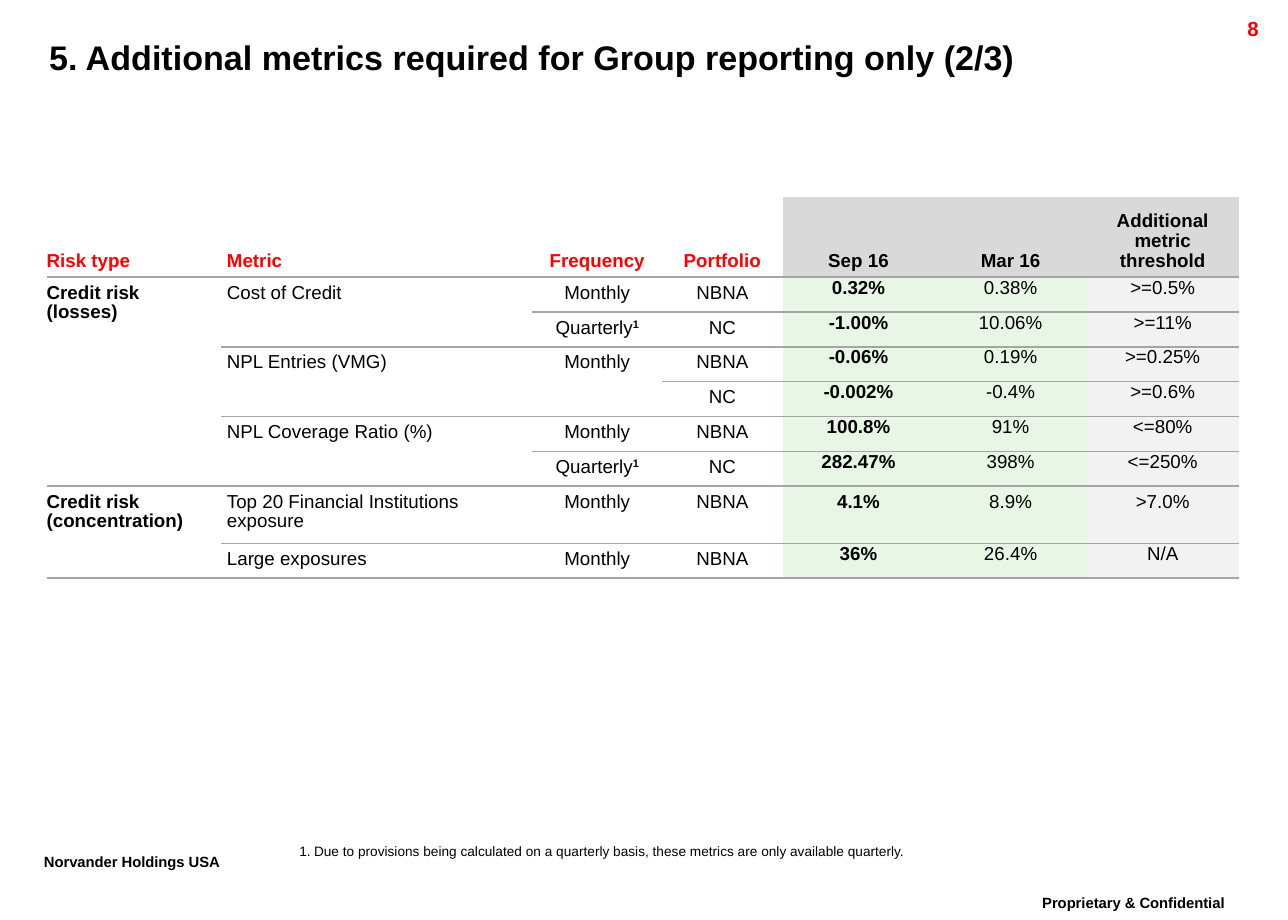
from lxml import etree
from pptx import Presentation
from pptx.dml.color import RGBColor
from pptx.enum import text as tx
from pptx.oxml.ns import qn
from pptx.util import Inches, Pt

# Content
TITLE = "5. Additional metrics required for Group reporting only (2/3)"
FOOTNOTE = ("Due to provisions being calculated on a quarterly basis, "
            "these metrics are only available quarterly.")
HEADERS = ["Risk type", "Metric", "Frequency", "Portfolio",
           "Sep 16", "Mar 16", "Additional metric threshold"]
QUARTERLY = "Quarterly^1"  # the part after ^ is raised
# None continues the cell above
METRICS = [
    ["Credit risk (losses)", "Cost of Credit", "Monthly", "NBNA", "0.32%", "0.38%", ">=0.5%"],
    [None, None, QUARTERLY, "NC", "-1.00%", "10.06%", ">=11%"],
    [None, "NPL Entries (VMG)", "Monthly", "NBNA", "-0.06%", "0.19%", ">=0.25%"],
    [None, None, None, "NC", "-0.002%", "-0.4%", ">=0.6%"],
    [None, "NPL Coverage Ratio (%)", "Monthly", "NBNA", "100.8%", "91%", "<=80%"],
    [None, None, QUARTERLY, "NC", "282.47%", "398%", "<=250%"],
    ["Credit risk (concentration)", "Top 20 Financial Institutions exposure",
     "Monthly", "NBNA", "4.1%", "8.9%", ">7.0%"],
    [None, "Large exposures", "Monthly", "NBNA", "36%", "26.4%", "N/A"],
]
ROWS = [HEADERS] + METRICS
COL_WIDTHS = [1.42, 2.54, 1.06, 0.98, 1.24, 1.24, 1.24]
ROW_HEIGHTS = [0.65] + [0.28] * 6 + [0.47, 0.28]
ROW_HEIGHTS[1:7] = [0.284] * 6
TALL_ROW, SEP, THRESHOLD = 7, 4, 6
COLORS = {"text": "000000", "accent": "FF0000", "rule": "A5A5A5",
          "header": "D9D9D9", "value": "E8F6E6", "threshold": "F2F2F2"}
ALIGN = tx.PP_ALIGN


def style(paragraph, size, color="text", bold=False, align=ALIGN.LEFT, spacing=0.86):
    paragraph.alignment = align
    paragraph.line_spacing = spacing
    paragraph.space_before = paragraph.space_after = Pt(0)
    font = paragraph.font
    font.name, font.size, font.bold = "Arial", Pt(size), bold
    font.color.rgb = RGBColor.from_string(COLORS[color])


def raise_run(run):
    run.font._element.set("baseline", "30000")


def add_label(slide, words, box, size, inset=None, **look):
    frame = slide.shapes.add_textbox(*map(Inches, box)).text_frame
    frame.word_wrap = True
    if inset is not None:
        frame.margin_left = frame.margin_right = Inches(inset)
        frame.margin_top = frame.margin_bottom = Inches(inset)
    paragraph = frame.paragraphs[0]
    paragraph.add_run().text = words
    style(paragraph, size, **look)
    return paragraph


def add_rule_below(cell):
    rule = etree.SubElement(cell._tc.get_or_add_tcPr(), qn("a:lnB"), w=str(Pt(1)))
    fill = etree.SubElement(rule, qn("a:solidFill"))
    etree.SubElement(fill, qn("a:srgbClr"), val=COLORS["rule"])


def fill_cell(cell, row, col, words):
    is_header, is_value = row == 0, col >= SEP
    # Values sit close to the top of their row, except in the tall row
    tight = is_value and row not in (0, TALL_ROW)
    side = 0.01 if tight else 0.05
    cell.margin_left = Inches(0 if col == 0 else side)
    cell.margin_right = cell.margin_top = Inches(side)
    cell.margin_bottom = Inches(0 if tight else side)
    cell.vertical_anchor = tx.MSO_ANCHOR.BOTTOM if is_header else tx.MSO_ANCHOR.TOP

    if is_value:
        shade = "header" if is_header else "threshold" if col == THRESHOLD else "value"
        cell.fill.solid()
        cell.fill.fore_color.rgb = RGBColor.from_string(COLORS[shade])
    else:
        cell.fill.background()

    paragraph = cell.text_frame.paragraphs[0]
    style(paragraph, 11, "accent" if is_header and not is_value else "text",
          bold=is_header or col in (0, SEP),
          align=ALIGN.LEFT if col < 2 else ALIGN.CENTER, spacing=0.95)
    base, _, mark = (words or "").partition("^")
    if base:
        paragraph.add_run().text = base
    if mark:
        raised = paragraph.add_run()
        raised.text, raised.font.bold = mark, True
        raise_run(raised)


def add_metrics_table(slide):
    table = slide.shapes.add_table(
        len(ROWS), len(HEADERS), Inches(0.38), Inches(1.61),
        Inches(sum(COL_WIDTHS)), Inches(sum(ROW_HEIGHTS))).table
    # Plain style without grid
    table._tbl.tblPr.find(qn("a:tableStyleId")).text = "{2D5ABB26-0587-4C30-8999-92F81FD0307C}"
    table.first_row = table.horz_banding = False
    for column, width in zip(table.columns, COL_WIDTHS):
        column.width = Inches(width)
    for table_row, height in zip(table.rows, ROW_HEIGHTS):
        table_row.height = Inches(height)

    for col in range(len(HEADERS)):
        starts = [row for row, cells in enumerate(ROWS) if cells[col] is not None]
        for start, end in zip(starts, starts[1:] + [len(ROWS)]):
            for row in range(start, end):
                cell = table.cell(row, col)
                if row in (start, end - 1):
                    add_rule_below(cell)
                fill_cell(cell, row, col, ROWS[row][col])
            if end - start > 1:
                table.cell(start, col).merge(table.cell(end - 1, col))


def main():
    deck = Presentation()
    deck.slide_width, deck.slide_height = Inches(10.5), Inches(7.5)
    slide = deck.slides.add_slide(deck.slide_layouts[5])

    # Title
    title = slide.shapes.title
    title.left, title.top, title.width, title.height = map(Inches, (0.3, 0.29, 9.82, 0.39))
    title.text = TITLE
    title.text_frame.auto_size = tx.MSO_AUTO_SIZE.NONE
    title.text_frame.vertical_anchor = tx.MSO_ANCHOR.MIDDLE
    style(title.text_frame.paragraphs[0], 20, bold=True)

    # Page number and footers
    add_label(slide, "8", (9.36, 0.11, 1, 0.24), 12,
              color="accent", bold=True, align=ALIGN.RIGHT)
    for words, box, align in [
            ("Proprietary & Confidential", (8.15, 7.25, 2.18, 0.35), ALIGN.CENTER),
            ("Norvander Holdings USA", (0.26, 6.91, 1.91, 0.35), ALIGN.LEFT)]:
        footer = add_label(slide, words, box, 15, bold=True, align=align)
        raise_run(footer.runs[0])

    add_metrics_table(slide)

    # Numbered footnote
    footnote = add_label(slide, FOOTNOTE, (2.44, 6.89, 5.8, 0.12), 8, inset=0)
    props = footnote._p.get_or_add_pPr()
    props.set("marL", str(Inches(0.12)))
    props.set("indent", str(-Inches(0.12)))
    number = etree.Element(qn("a:buAutoNum"), type="arabicPeriod")
    props.find(qn("a:defRPr")).addprevious(number)

    deck.save("out.pptx")


if __name__ == "__main__":
    main()
